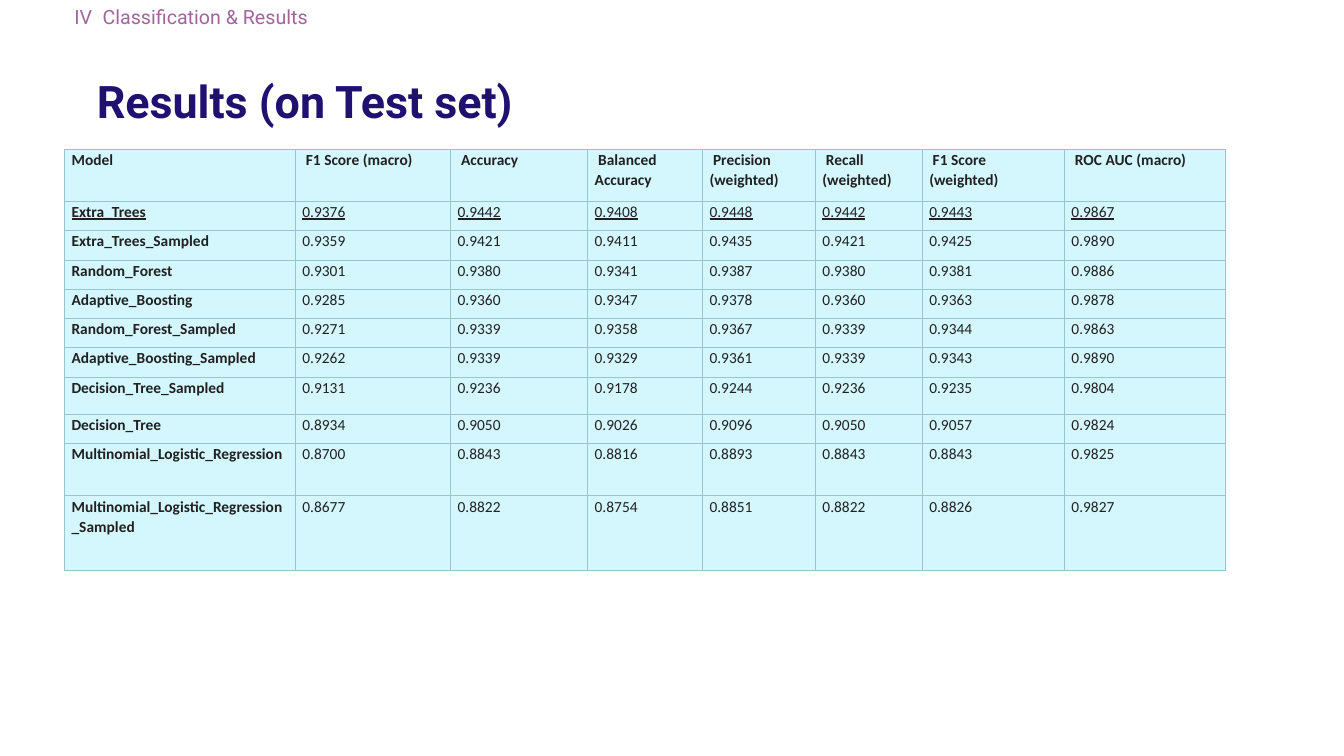
from dataclasses import dataclass

from lxml.etree import SubElement
from pptx import Presentation
from pptx.dml.color import RGBColor
from pptx.enum.text import MSO_ANCHOR as Anchor, MSO_AUTO_SIZE as AutoSize, PP_ALIGN as Align
from pptx.oxml.ns import qn
from pptx.slide import Slide
from pptx.table import _Cell as Cell
from pptx.text.text import _Paragraph as Paragraph
from pptx.util import Inches, Pt

SLIDE_WIDTH, SLIDE_HEIGHT = Inches(13.33), Inches(7.5)
MAUVE = RGBColor(0xA1, 0x65, 0x9C)
NAVY = RGBColor(0x20, 0x11, 0x71)
INK = RGBColor(0x21, 0x21, 0x21)
PALE_CYAN = RGBColor(0xD4, 0xF6, 0xFD)
BORDER = RGBColor(0x98, 0xC6, 0xD0)


@dataclass(frozen=True)
class Style:
    font: str
    size: float
    color: RGBColor
    bold: bool = False
    underline: bool = False


@dataclass(frozen=True)
class Box:
    """Position and size as percentages of the slide's width and height."""
    left: float
    top: float
    width: float
    height: float

    def lengths(self) -> tuple[int, int, int, int]:
        return (across(self.left), down(self.top), across(self.width), down(self.height))


@dataclass(frozen=True)
class Label:
    text: str
    box: Box


@dataclass(frozen=True)
class Result:
    model: str
    scores: str
    height: float = 3.87
    best: bool = False


SECTION_STYLE = Style("Roboto", 14, MAUVE)
TITLE_STYLE = Style("Roboto", 32, NAVY, bold=True)
SECTION_LABELS = [
    Label("IV", Box(4.8, 0, 3.23, 4.53)),
    Label("Classification & Results", Box(6.9, 0, 19.35, 4.53)),
]
TITLE = Label("Results (on Test set)", Box(6.45, 7.2, 84.85, 13.07))

TABLE_LEFT, TABLE_TOP = 4.8, 19.73
HEADER_HEIGHT = 6.93
COLUMN_WIDTHS = [17.18, 11.55, 10.2, 8.55, 8.4, 7.95, 10.58, 12]
HEADERS = [
    "Model", " F1 Score (macro)", " Accuracy", " Balanced Accuracy", " Precision (weighted)",
    " Recall (weighted)", " F1 Score (weighted)", " ROC AUC (macro)",
]
RESULTS = [
    Result("Extra_Trees", "0.9376 0.9442 0.9408 0.9448 0.9442 0.9443 0.9867", best=True),
    Result("Extra_Trees_Sampled", "0.9359 0.9421 0.9411 0.9435 0.9421 0.9425 0.9890"),
    Result("Random_Forest", "0.9301 0.9380 0.9341 0.9387 0.9380 0.9381 0.9886"),
    Result("Adaptive_Boosting", "0.9285 0.9360 0.9347 0.9378 0.9360 0.9363 0.9878"),
    Result("Random_Forest_Sampled", "0.9271 0.9339 0.9358 0.9367 0.9339 0.9344 0.9863"),
    Result("Adaptive_Boosting_Sampled", "0.9262 0.9339 0.9329 0.9361 0.9339 0.9343 0.9890"),
    Result("Decision_Tree_Sampled", "0.9131 0.9236 0.9178 0.9244 0.9236 0.9235 0.9804", 4.93),
    Result("Decision_Tree", "0.8934 0.9050 0.9026 0.9096 0.9050 0.9057 0.9824"),
    Result("Multinomial_Logistic_Regression",
           "0.8700 0.8843 0.8816 0.8893 0.8843 0.8843 0.9825", 6.93),
    Result("Multinomial_Logistic_Regression_Sampled",
           "0.8677 0.8822 0.8754 0.8851 0.8822 0.8826 0.9827", 9.87),
]


def across(percent: float) -> int:
    return round(SLIDE_WIDTH * percent / 100)


def down(percent: float) -> int:
    return round(SLIDE_HEIGHT * percent / 100)


def add_run(paragraph: Paragraph, text: str, style: Style) -> None:
    run = paragraph.add_run()
    run.text = text
    run.font.name = style.font
    run.font.size = Pt(style.size)
    run.font.color.rgb = style.color
    run.font.bold = style.bold
    run.font.underline = style.underline


def add_label(slide: Slide, label: Label) -> None:
    frame = slide.shapes.add_textbox(*label.box.lengths()).text_frame
    frame.word_wrap = True
    frame.auto_size = AutoSize.SHAPE_TO_FIT_TEXT
    add_run(frame.paragraphs[0], label.text, SECTION_STYLE)


def fill_title(slide: Slide) -> None:
    title = slide.shapes.title
    title.left, title.top, title.width, title.height = TITLE.box.lengths()
    frame = title.text_frame
    frame.word_wrap = True
    frame.auto_size = AutoSize.NONE
    frame.vertical_anchor = Anchor.MIDDLE
    paragraph = frame.paragraphs[0]
    paragraph.alignment = Align.LEFT
    paragraph.line_spacing = 0.9
    add_run(paragraph, TITLE.text, TITLE_STYLE)


def add_borders(cell: Cell) -> None:
    """Outline all four sides; must run before the cell is filled."""
    properties = cell._tc.get_or_add_tcPr()
    for side in ("a:lnL", "a:lnR", "a:lnT", "a:lnB"):
        line = SubElement(properties, qn(side), w=str(Pt(0.75)))
        SubElement(SubElement(line, qn("a:solidFill")), qn("a:srgbClr"), val=str(BORDER))


def fill_cell(cell: Cell, text: str, style: Style) -> None:
    add_borders(cell)
    cell.fill.solid()
    cell.fill.fore_color.rgb = PALE_CYAN
    cell.margin_left = cell.margin_right = Inches(0.07)
    cell.margin_top = cell.margin_bottom = 0
    paragraph = cell.text_frame.paragraphs[0]
    paragraph.line_spacing = 1.07
    paragraph.space_after = Pt(8)
    add_run(paragraph, text, style)


def add_results_table(slide: Slide) -> None:
    heights = [HEADER_HEIGHT] + [result.height for result in RESULTS]
    box = Box(TABLE_LEFT, TABLE_TOP, sum(COLUMN_WIDTHS), sum(heights))
    table = slide.shapes.add_table(len(heights), len(HEADERS), *box.lengths()).table
    table.first_row = table.horz_banding = False
    for column, width in zip(table.columns, COLUMN_WIDTHS):
        column.width = across(width)
    for row, height in zip(table.rows, heights):
        row.height = down(height)

    for index, header in enumerate(HEADERS):
        fill_cell(table.cell(0, index), header, Style("Calibri", 11, INK, bold=True))
    for row_index, result in enumerate(RESULTS, start=1):
        for index, text in enumerate([result.model, *result.scores.split()]):
            style = Style("Calibri", 11, INK, bold=index == 0, underline=result.best)
            fill_cell(table.cell(row_index, index), text, style)


def main() -> None:
    presentation = Presentation()
    presentation.slide_width, presentation.slide_height = SLIDE_WIDTH, SLIDE_HEIGHT
    slide = presentation.slides.add_slide(presentation.slide_layouts.get_by_name("Title Only"))
    for label in SECTION_LABELS:
        add_label(slide, label)
    add_results_table(slide)
    fill_title(slide)
    presentation.save("out.pptx")


if __name__ == "__main__":
    main()
